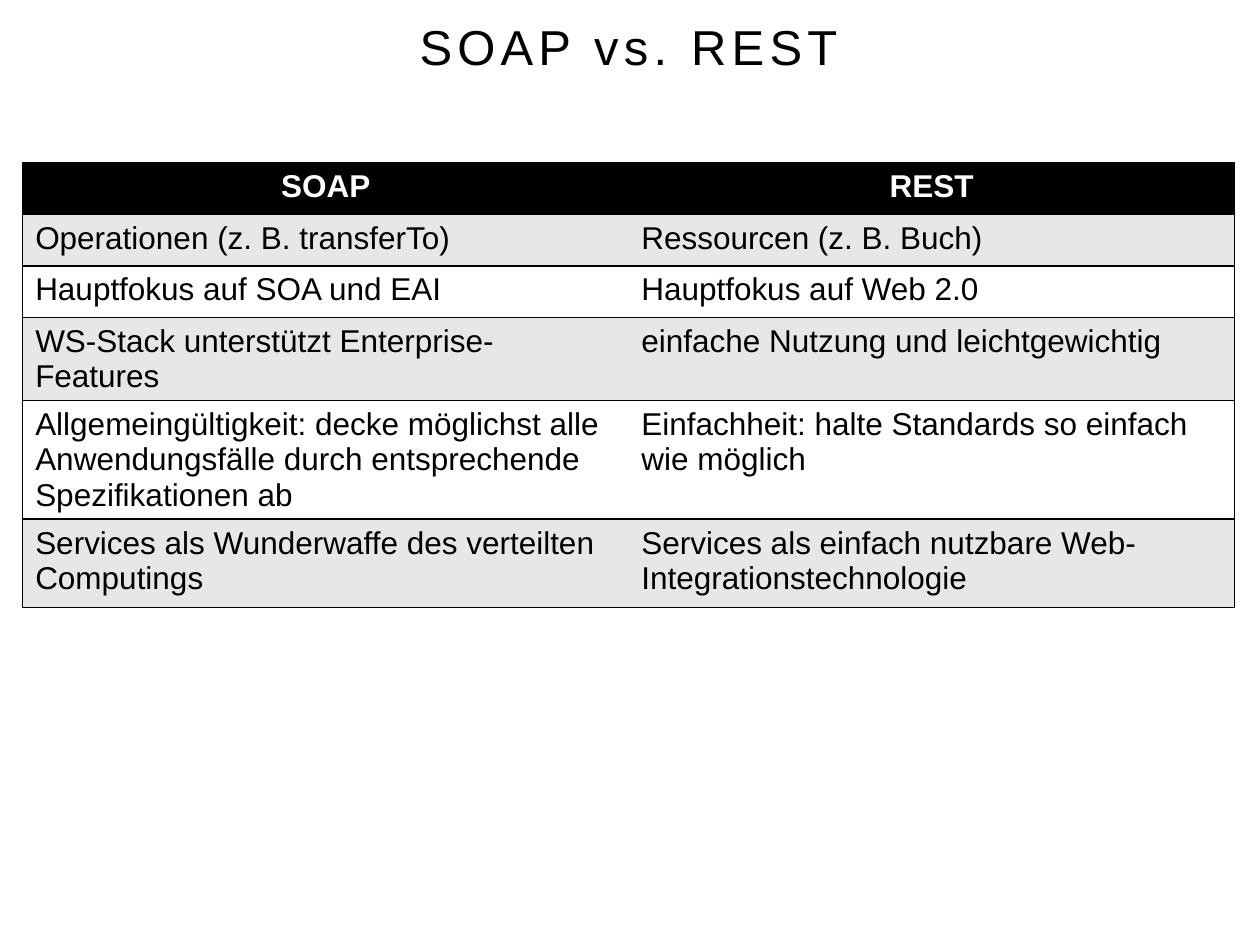
"""Builds the slide comparing SOAP and REST in a two-column table."""
from lxml.etree import SubElement
from pptx import Presentation
from pptx.dml.color import RGBColor
from pptx.enum.text import MSO_ANCHOR, PP_ALIGN
from pptx.oxml.ns import qn
from pptx.util import Inches, Pt

COLORS = {"ink": "000000", "paper": "FFFFFF", "band": "E7E7E7"}
ROWS = [
    ("SOAP", "REST"),
    ("Operationen (z. B. transferTo)", "Ressourcen (z. B. Buch)"),
    ("Hauptfokus auf SOA und EAI", "Hauptfokus auf Web 2.0"),
    ("WS-Stack unterstützt Enterprise-Features", "einfache Nutzung und leichtgewichtig"),
    ("Allgemeingültigkeit: decke möglichst alle Anwendungsfälle durch entsprechende Spezifikationen ab",
     "Einfachheit: halte Standards so einfach wie möglich"),
    ("Services als Wunderwaffe des verteilten Computings",
     "Services als einfach nutzbare Web-Integrationstechnologie"),
]
HEIGHTS = [0.41] * 4 + [0.7] * 2


def style_run(r, color, **fmt):
    for name, value in {"name": "Arial", **fmt}.items():
        setattr(r.font, name, value)
    r.font.color.rgb = RGBColor.from_string(COLORS[color])


def add_border(cell, side, visible):
    ln = SubElement(cell._tc.get_or_add_tcPr(), qn(f"a:ln{side}"), w=str(Pt(1)))
    if visible:
        fill = SubElement(ln, qn("a:solidFill"))
        SubElement(fill, qn("a:srgbClr"), val=COLORS["ink"])
    else:
        SubElement(ln, qn("a:noFill"))


prs = Presentation()
prs.slide_width, prs.slide_height = Inches(10), Inches(7.5)
s = prs.slides.add_slide(prs.slide_layouts[5])
left, width = Inches(0.18), Inches(9.62)

title = s.shapes.title
for name, value in {"left": left, "top": 0, "width": width, "height": Inches(0.79)}.items():
    setattr(title, name, value)
tf = title.text_frame
for name, value in {"margin_left": 0, "margin_top": 0, "margin_right": 0, "margin_bottom": 0,
                    "vertical_anchor": MSO_ANCHOR.MIDDLE, "word_wrap": True}.items():
    setattr(tf, name, value)
p = tf.paragraphs[0]
p.alignment, p.line_spacing = PP_ALIGN.CENTER, 0.87
r = p.add_run()
r.text = "SOAP vs. REST"
style_run(r, "ink", size=Pt(28))
r.font._element.set("spc", "300")

table = s.shapes.add_table(len(ROWS), 2, left, Inches(1.29), width, Inches(sum(HEIGHTS))).table
for i, (texts, height) in enumerate(zip(ROWS, HEIGHTS)):
    table.rows[i].height = Inches(height)
    header = i == 0
    fill = "ink" if header else "band" if i % 2 else "paper"
    for j, text in enumerate(texts):
        cell = table.cell(i, j)
        for side, visible in {"L": j == 0, "R": j == 1, "T": True, "B": True}.items():
            add_border(cell, side, visible)
        cell.fill.solid()
        cell.fill.fore_color.rgb = RGBColor.from_string(COLORS[fill])
        p = cell.text_frame.paragraphs[0]
        p.alignment = PP_ALIGN.CENTER if header else PP_ALIGN.LEFT
        r = p.add_run()
        r.text = text
        style_run(r, "paper" if header else "ink", size=Pt(18), bold=header)

prs.save("out.pptx")
